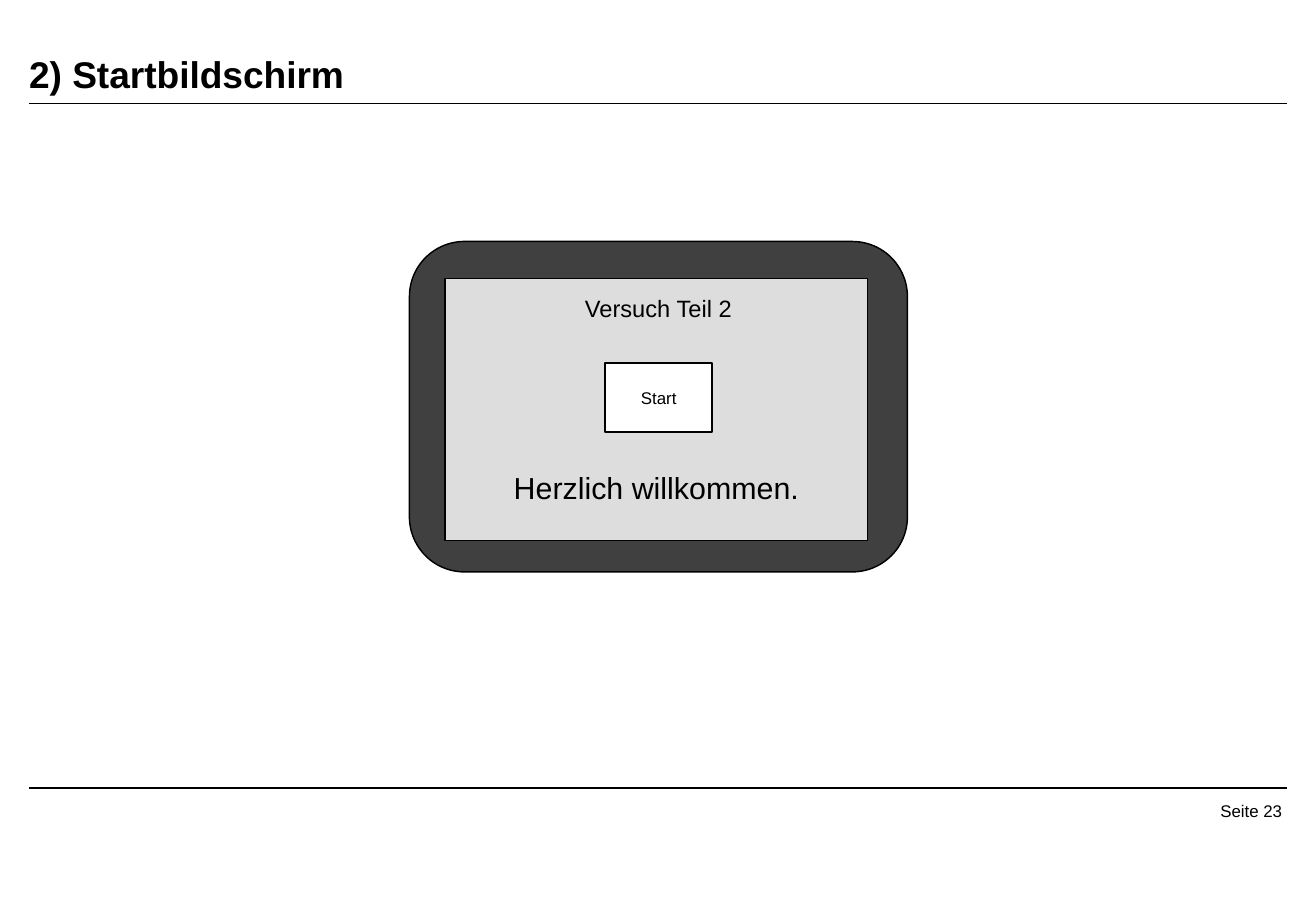
from lxml import etree
from pptx import Presentation
from pptx.dml.color import RGBColor
from pptx.enum.shapes import MSO_CONNECTOR, MSO_SHAPE
from pptx.enum.text import MSO_ANCHOR, PP_ALIGN
from pptx.oxml.ns import qn
from pptx.util import Cm, Pt

STRAIGHT = MSO_CONNECTOR.STRAIGHT
RECTANGLE, ROUNDED = MSO_SHAPE.RECTANGLE, MSO_SHAPE.ROUNDED_RECTANGLE
TOP, MIDDLE, BOTTOM = MSO_ANCHOR.TOP, MSO_ANCHOR.MIDDLE, MSO_ANCHOR.BOTTOM
LEFT, CENTER, RIGHT = PP_ALIGN.LEFT, PP_ALIGN.CENTER, PP_ALIGN.RIGHT

COLORS = {"ink": "000000", "case": "404040", "screen": "DDDDDD", "button": "FFFFFF"}
FONT = "Arial"
LINE_WIDTH = Pt(0.85)
DEFAULT_INSETS = (0.25, 0.13, 0.25, 0.13)


def color(name):
    return RGBColor.from_string(COLORS[name])


def write(shape, text, size, align=LEFT, anchor=TOP, bold=False, insets=DEFAULT_INSETS):
    """Set the single paragraph of a shape; insets are left, top, right, bottom in cm."""
    frame = shape.text_frame
    frame.word_wrap = True
    frame.vertical_anchor = anchor
    frame.margin_left, frame.margin_top, frame.margin_right, frame.margin_bottom = map(Cm, insets)
    paragraph = frame.paragraphs[0]
    paragraph.text = text
    paragraph.alignment = align
    font = paragraph.font
    font.name, font.size, font.bold = FONT, Pt(size), bold
    font.color.rgb = color("ink")


def add_text(slide, box, text, size, **options):
    write(slide.shapes.add_textbox(*map(Cm, box)), text, size, **options)


def add_panel(slide, kind, box, fill):
    shape = slide.shapes.add_shape(kind, *map(Cm, box))
    shape.shadow.inherit = False
    shape.fill.solid()
    shape.fill.fore_color.rgb = color(fill)
    shape.line.color.rgb = color("ink")
    shape.line.width = LINE_WIDTH
    return shape


def add_rule(slide, left, top, width):
    rule = slide.shapes.add_connector(STRAIGHT, Cm(left), Cm(top), Cm(left + width), Cm(top))
    rule.line.color.rgb = color("ink")
    rule.line.width = LINE_WIDTH
    etree.SubElement(rule._element.spPr, qn("a:effectLst"))


def add_header(slide, box, title):
    left, top, width, height = box
    add_text(slide, (left, top, width, height - 0.15), title, 22,
             anchor=BOTTOM, bold=True, insets=(0, 0, 0.79, 0))
    add_rule(slide, left, top + height, width)


def add_footer(slide, box, page):
    left, top, width, height = box
    page_width, gap = 3.68, 0.16
    add_rule(slide, left, top, width)
    add_text(slide, (left + width - page_width, top + gap, page_width, height - gap),
             page, 10, align=RIGHT, insets=(0.1, 0.1, 0.1, 0))


def add_device(slide, box, heading, button_label, greeting):
    """Draw a dark device case with a start screen inside it."""
    left, top, width, height = box
    add_panel(slide, ROUNDED, box, "case")
    add_panel(slide, RECTANGLE, (left + 0.74, top + 0.77, width - 1.57, height - 1.42), "screen")
    button = add_panel(slide, RECTANGLE, (left + 4.09, top + 2.54, 2.24, 1.45), "button")
    write(button, button_label, 10, align=CENTER, anchor=MIDDLE)
    add_text(slide, (left + 1.93, top + 4.63, 6.91, 1.02), greeting, 18)
    add_text(slide, (left + 1.75, top + 0.97, 6.91, 0.86), heading, 14, align=CENTER)


def main():
    presentation = Presentation()
    presentation.slide_width, presentation.slide_height = Cm(27.51), Cm(19.05)
    slide = presentation.slides.add_slide(presentation.slide_layouts[6])
    margin, content_width = 0.61, 26.29
    add_header(slide, (margin, 0, content_width, 2.16), "2) Startbildschirm")
    add_footer(slide, (margin, 16.48, content_width, 1.05), "Seite 23")
    add_device(slide, (8.56, 5.05, 10.41, 6.91),
               "Versuch Teil 2", "Start", "Herzlich willkommen.")
    presentation.save("out.pptx")


if __name__ == "__main__":
    main()
